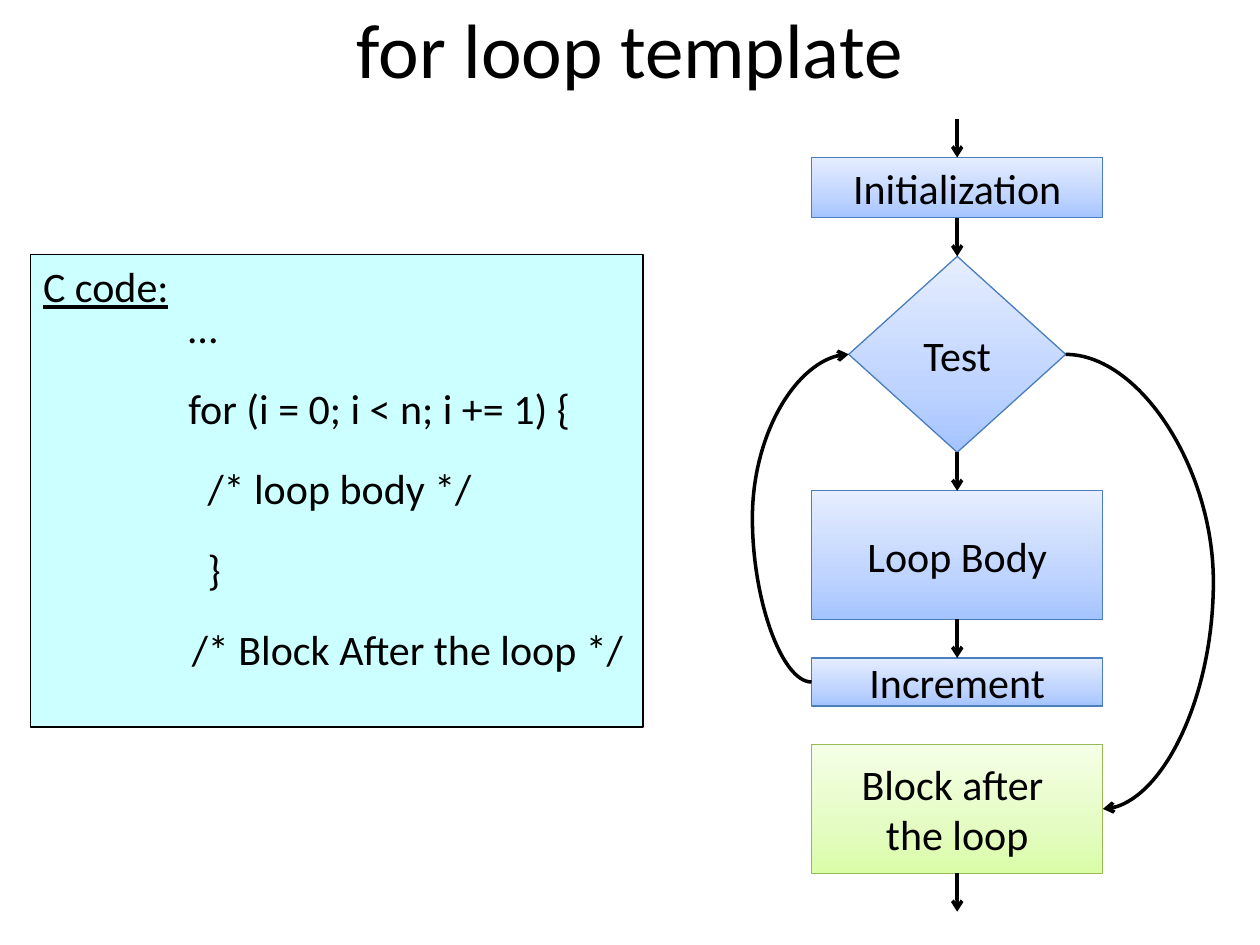
from dataclasses import dataclass

from lxml import etree
from copy import deepcopy
from pptx import Presentation
from pptx import util as u
from pptx.dml import color
from pptx.enum import shapes, text
from pptx.oxml import ns

FONT = "Calibri"
BLACK = "000000"
BLUE = ("A4C4FF", "BFD4FF", "E6EEFF")
GREEN = ("DAFDA7", "E4FCC2", "F5FFE7")
STOP_POSITIONS = (0, 0.35, 1)
CENTER = 547
GAP = 22
FLOW_TOP = 90
BOX_WIDTH = 166.5


@dataclass
class Step:
    lines: tuple[str, ...]
    height: float
    width: float = BOX_WIDTH
    kind: int = shapes.MSO_SHAPE.RECTANGLE
    gradient: tuple[str, ...] = BLUE
    outline: str = "4B7EBC"
    has_arrow: bool = True
    top: float = 0

    @property
    def left(self) -> float:
        return CENTER - self.width / 2

    @property
    def right(self) -> float:
        return CENTER + self.width / 2

    @property
    def middle(self) -> float:
        return self.top + self.height / 2


@dataclass
class CodeLine:
    words: str
    indent: float = 0
    space_before: float = 0
    line_spacing: float = 0.8
    underline: bool = False


def rgb(value: str) -> color.RGBColor:
    return color.RGBColor.from_string(value)


def add_run(paragraph, words: str, size: float = 24, underline: bool = False) -> None:
    run = paragraph.add_run()
    run.text = words
    run.font.name = FONT
    run.font.size = u.Pt(size)
    run.font.color.rgb = rgb(BLACK)
    if underline:
        run.font.underline = True


def add_box(slide, kind: int, left: float, top: float, width: float, height: float, outline: str):
    shape = slide.shapes.add_shape(kind, u.Pt(left), u.Pt(top), u.Pt(width), u.Pt(height))
    shape.shadow.inherit = False
    shape.line.color.rgb = rgb(outline)
    shape.line.width = u.Pt(0.75)
    return shape


def paragraph_at(frame, index: int):
    return frame.add_paragraph() if index else frame.paragraphs[0]


def fill_gradient(shape, colors: tuple[str, ...]) -> None:
    shape.fill.gradient()
    shape.fill.gradient_angle = 90
    stop_list = shape._element.spPr.find(".//" + ns.qn("a:gsLst"))
    stop_list.append(deepcopy(stop_list[-1]))
    for stop, value, position in zip(shape.fill.gradient_stops, colors, STOP_POSITIONS):
        stop.color.rgb = rgb(value)
        stop.position = position


def add_step(slide, step: Step) -> None:
    shape = add_box(slide, step.kind, step.left, step.top, step.width, step.height, step.outline)
    fill_gradient(shape, step.gradient)
    frame = shape.text_frame
    frame.word_wrap = True
    frame.vertical_anchor = text.MSO_ANCHOR.MIDDLE
    for index, words in enumerate(step.lines):
        paragraph = paragraph_at(frame, index)
        paragraph.alignment = text.PP_ALIGN.CENTER
        add_run(paragraph, words)


def add_arrow(slide, start: tuple[float, float], end: tuple[float, float], bend: float | None = None) -> None:
    kind = shapes.MSO_CONNECTOR.STRAIGHT if bend is None else shapes.MSO_CONNECTOR.CURVE
    connector = slide.shapes.add_connector(kind, *(u.Pt(value) for value in start + end))
    connector.line.color.rgb = rgb(BLACK)
    connector.line.width = u.Pt(2)
    properties = connector._element.spPr
    etree.SubElement(connector.line._get_or_add_ln(), ns.qn("a:tailEnd"), type="arrow")
    etree.SubElement(properties, ns.qn("a:effectLst"))
    if bend is not None:
        adjustments = properties.find(".//" + ns.qn("a:avLst"))
        formula = f"val {round(bend * 100000)}"
        etree.SubElement(adjustments, ns.qn("a:gd"), name="adj1", fmla=formula)


def add_title(slide, words: str) -> None:
    title = slide.shapes.title
    title.left, title.top, title.width, title.height = (u.Pt(value) for value in (36, -17.5, 648, 90))
    title.text_frame.vertical_anchor = text.MSO_ANCHOR.MIDDLE
    paragraph = title.text_frame.paragraphs[0]
    paragraph.alignment = text.PP_ALIGN.CENTER
    add_run(paragraph, words, 44)


def add_code(slide, lines: list[CodeLine]) -> None:
    panel = add_box(slide, shapes.MSO_SHAPE.RECTANGLE, 17.5, 145.5, 350, 270, BLACK)
    panel.fill.solid()
    panel.fill.fore_color.rgb = rgb("CCFFFF")
    frame = panel.text_frame
    frame.word_wrap = True
    frame.margin_right = u.Pt(0)
    frame.vertical_anchor = text.MSO_ANCHOR.TOP
    for index, line in enumerate(lines):
        paragraph = paragraph_at(frame, index)
        paragraph.alignment = text.PP_ALIGN.LEFT
        paragraph.line_spacing = line.line_spacing
        paragraph.space_before = u.Pt(line.space_before)
        paragraph._p.get_or_add_pPr().set("marL", str(u.Pt(line.indent)))
        add_run(paragraph, line.words, underline=line.underline)


def add_flow(slide) -> None:
    initialization = Step(("Initialization",), 34.5)
    test = Step(("Test",), 112, width=124, kind=shapes.MSO_SHAPE.DIAMOND)
    body = Step(("Loop Body",), 73.5)
    increment = Step(("Increment",), 27.5)
    after = Step(("Block after ", "the loop"), 73.5, gradient=GREEN, outline="98B955", has_arrow=False)

    top = FLOW_TOP
    for step in (initialization, test, body, increment, after):
        step.top = top
        add_step(slide, step)
        if step.has_arrow:
            add_arrow(slide, (CENTER, top - GAP), (CENTER, top))
        top += step.height + GAP
    add_arrow(slide, (CENTER, top - GAP), (CENTER, top))
    add_arrow(slide, (increment.left, increment.middle), (test.left, test.middle), -1.59)
    add_arrow(slide, (test.right, test.middle), (after.right, after.middle), 3.97)


def main() -> None:
    presentation = Presentation()
    presentation.slide_width = u.Pt(720)
    presentation.slide_height = u.Pt(540)
    slide = presentation.slides.add_slide(presentation.slide_layouts[5])
    add_title(slide, "for loop template")
    add_flow(slide)
    add_code(slide, [
        CodeLine("C code:", line_spacing=1, underline=True),
        CodeLine("…", 83),
        CodeLine("for (i = 0; i < n; i += 1) {", 83, 23),
        CodeLine("/* loop body */", 94, 23),
        CodeLine("}", 94, 23),
        CodeLine("/* Block After the loop */", 85, 23),
    ])
    presentation.save("out.pptx")


if __name__ == "__main__":
    main()
